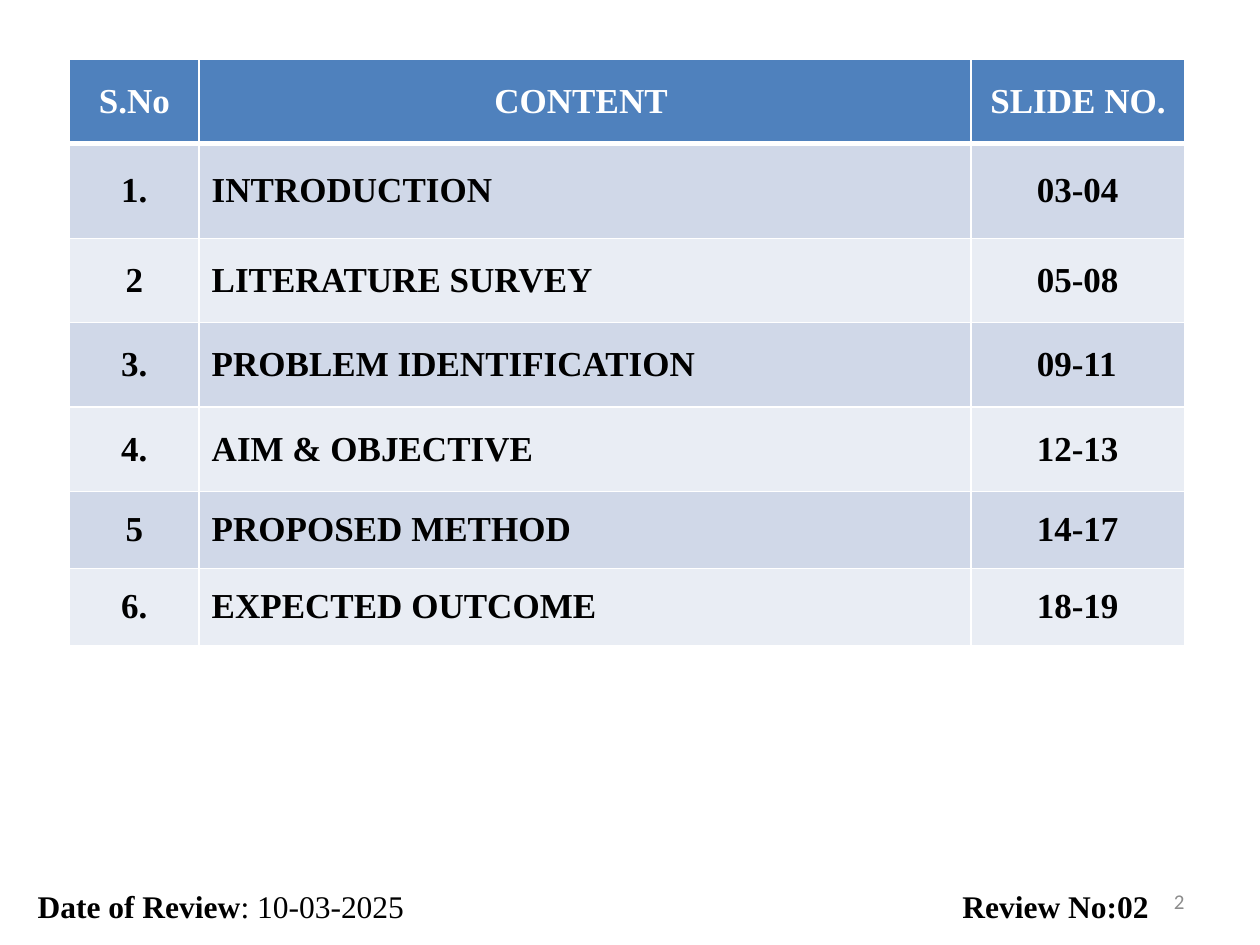
"""Build the contents slide with its table of sections and review footer."""
from lxml import etree
from pptx import Presentation
from pptx import util as u
from pptx.dml.color import RGBColor
from pptx.enum import text
from pptx.oxml import ns

HEADERS = ["S.No", "CONTENT ", "SLIDE NO."]
SECTIONS = [
    ("1.", "INTRODUCTION", "03-04"),
    ("2", "LITERATURE SURVEY", "05-08"),
    ("3.", "PROBLEM IDENTIFICATION", "09-11"),
    ("4.", "AIM & OBJECTIVE", "12-13"),
    ("5", "PROPOSED METHOD", "14-17"),
    ("6.", "EXPECTED OUTCOME", "18-19"),
]
FOOTER = [("Date of Review", True), (": 10-03-2025", False), ("\tReview No:02", True)]
PAGE_NUMBER = "2"

COLORS = {"header": "4F81BD", "odd": "D0D8E8", "even": "E9EDF4",
          "white": "FFFFFF", "black": "000000", "gray": "8C8C8C"}
SERIF = "Times New Roman"
COLUMN_WIDTHS = [74, 441.2, 122.2]
ROW_HEIGHTS = [48.2, 54, 48.2, 48.2, 48.2, 44, 44]
TABLE_LEFT, TABLE_TOP = 39.8, 34
PAGE_RANGE_INDENT = 37.5
REVIEW_TAB = 528.5
LEFT, CENTER, RIGHT = text.PP_ALIGN.LEFT, text.PP_ALIGN.CENTER, text.PP_ALIGN.RIGHT


def add_run(paragraph, words, size, color, bold=False, font=SERIF):
    run = paragraph.add_run()
    run.text = words
    run.font.size = u.Pt(size)
    run.font.name = font
    run.font.bold = bold
    run.font.color.rgb = RGBColor.from_string(COLORS[color])


def add_borders(cell, bottom, top):
    properties = cell._tc.get_or_add_tcPr()
    for side, width in (("L", 1), ("R", 1), ("T", top), ("B", bottom)):
        line = etree.SubElement(properties, ns.qn(f"a:ln{side}"), w=str(u.Pt(width)))
        fill = etree.SubElement(line, ns.qn("a:solidFill"))
        etree.SubElement(fill, ns.qn("a:srgbClr"), val=COLORS["white"])


def add_contents_table(slide):
    rows = [HEADERS, *SECTIONS]
    table = slide.shapes.add_table(
        len(rows), len(HEADERS), u.Pt(TABLE_LEFT), u.Pt(TABLE_TOP),
        u.Pt(sum(COLUMN_WIDTHS)), u.Pt(sum(ROW_HEIGHTS))).table
    for column, width in zip(table.columns, COLUMN_WIDTHS):
        column.width = u.Pt(width)
    for row_index, (row, height) in enumerate(zip(rows, ROW_HEIGHTS)):
        table.rows[row_index].height = u.Pt(height)
        is_header = row_index == 0
        fill = "header" if is_header else ("even", "odd")[row_index % 2]
        for column_index, words in enumerate(row):
            cell = table.cell(row_index, column_index)
            add_borders(cell, 3 if is_header else 1, 3 if row_index == 1 else 1)
            cell.fill.solid()
            cell.fill.fore_color.rgb = RGBColor.from_string(COLORS[fill])
            cell.vertical_anchor = text.MSO_ANCHOR.MIDDLE
            if column_index == 2 and not is_header:
                cell.margin_left = u.Pt(PAGE_RANGE_INDENT)
            paragraph = cell.text_frame.paragraphs[0]
            paragraph.alignment = CENTER if is_header or column_index == 0 else LEFT
            add_run(paragraph, words, 20, "white" if is_header else "black", True)


def add_text_line(slide, left, top, width, height, alignment):
    frame = slide.shapes.add_textbox(*map(u.Pt, (left, top, width, height))).text_frame
    frame.word_wrap = True
    frame.vertical_anchor = text.MSO_ANCHOR.MIDDLE
    paragraph = frame.paragraphs[0]
    paragraph.alignment = alignment
    return paragraph


def main():
    presentation = Presentation()
    presentation.slide_width, presentation.slide_height = u.Pt(720), u.Pt(540)
    slide = presentation.slides.add_slide(presentation.slide_layouts[6])
    add_contents_table(slide)

    number = add_text_line(slide, 516, 500.5, 168, 28.8, RIGHT)
    add_run(number, PAGE_NUMBER, 12, "gray", font="Calibri")

    footer = add_text_line(slide, 14.4, 502.8, 697.7, 30, LEFT)
    tabs = etree.SubElement(footer._p.get_or_add_pPr(), ns.qn("a:tabLst"))
    etree.SubElement(tabs, ns.qn("a:tab"), pos=str(u.Pt(REVIEW_TAB)), algn="l")
    for words, bold in FOOTER:
        add_run(footer, words, 18, "black", bold)

    presentation.save("out.pptx")


if __name__ == "__main__":
    main()
